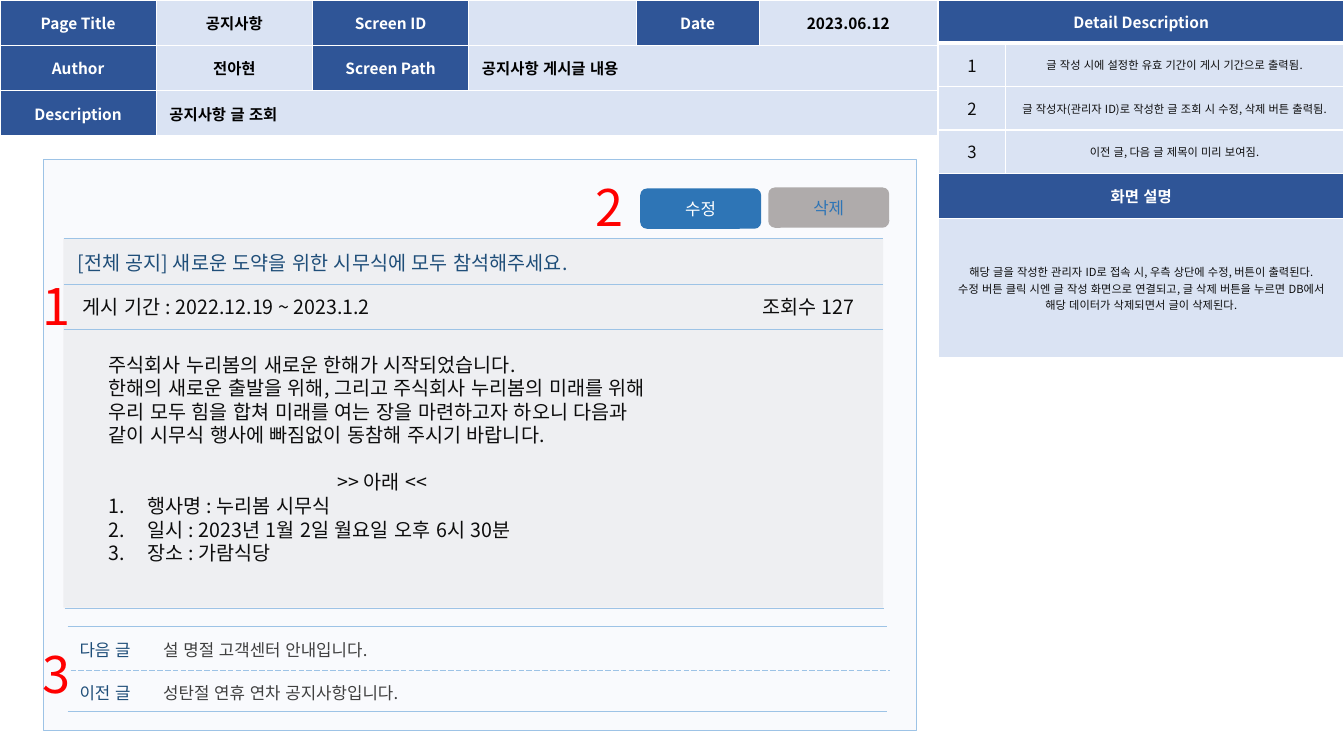
"""Build the screen-specification slide for the notice detail page."""
from lxml.etree import SubElement
from pptx import Presentation
from pptx.dml.color import RGBColor
from pptx.enum.dml import MSO_LINE
from pptx.enum.lang import MSO_LANGUAGE_ID
from pptx.enum.shapes import MSO_CONNECTOR, MSO_SHAPE
from pptx.enum.text import MSO_ANCHOR, PP_ALIGN
from pptx.oxml.ns import qn
from pptx.util import Inches, Pt

FONT = "Noto Sans CJK KR"
COLORS = {
    "navy": "2F5597", "pale": "DAE3F3", "white": "FFFFFF", "black": "000000",
    "ink": "0D0D0D", "gray": "404040", "title": "1F4E79", "rule": "9DC3E6",
    "page": "F9FAFD", "panel": "767171", "edit": "2E75B6", "delete": "AFABAB",
    "red": "FF0000",
}
HEADER_COLS = [1.55, 1.55, 1.55, 1.66, 1.22, 1.77]
HEADER = [
    ["Page Title", "공지사항", "Screen ID", "", "Date", "2023.06.12"],
    ["Author", "전아현", "Screen Path", "공지사항 게시글 내용"],
    ["Description", "공지사항 글 조회"],
]
DETAIL_COLS = [0.66, 3.36]
DETAIL_ROWS = [0.43, 0.43, 0.43, 0.43, 0.45, 1.38]
DETAIL = [
    ["Detail Description"],
    ["1", "글 작성 시에 설정한 유효 기간이 게시 기간으로 출력됨."],
    ["2", "글 작성자(관리자 ID)로 작성한 글 조회 시 수정, 삭제 버튼 출력됨."],
    ["3", "이전 글, 다음 글 제목이 미리 보여짐."],
    ["화면 설명"],
    ["해당 글을 작성한 관리자 ID로 접속 시, 우측 상단에 수정, 버튼이 출력된다.\n"
     "수정 버튼 클릭 시엔 글 작성 화면으로 연결되고, 글 삭제 버튼을 누르면 DB에서 "
     "해당 데이터가 삭제되면서 글이 삭제된다."],
]
NOTICE = [
    "주식회사 누리봄의 새로운 한해가 시작되었습니다.",
    "한해의 새로운 출발을 위해, 그리고 주식회사 누리봄의 미래를 위해 우리 모두 힘을 합쳐 "
    "미래를 여는 장을 마련하고자 하오니 다음과 같이 시무식 행사에 빠짐없이 동참해 주시기 바랍니다.",
]
NOTICE_HEADING = ">> 아래 <<"
NOTICE_ITEMS = ["행사명 : 누리봄 시무식", "일시 : 2023년 1월 2일 월요일 오후 6시 30분",
                "장소 : 가람식당"]
LABELS = [
    ("[전체 공지] 새로운 도약을 위한 시무식에 모두 참석해주세요.", 0.67, 2.44, 5.69, "title"),
    ("게시 기간 : 2022.12.19 ~ 2023.1.2", 0.72, 2.88, 5.69, "ink"),
    ("조회수 127", 7.46, 2.88, 1.52, "ink"),
]
RULES = [(0.63, 2.36), (0.63, 2.82), (0.63, 3.27), (0.64, 6.04), (0.67, 6.21), (0.67, 7.06)]
BUTTONS = [("수정", 6.35, 1.87, "edit", "white"), ("삭제", 7.62, 1.86, "delete", "edit")]
NEIGHBORS = [("다음 글", "설 명절 고객센터 안내입니다.", 6.3),
             ("이전 글", "성탄절 연휴 연차 공지사항입니다.", 6.72)]
MARKERS = [("1", 0.32, 2.68), ("2", 5.81, 1.7), ("3", 0.32, 6.33)]


def rgb(name):
    return RGBColor.from_string(COLORS[name])


def style_run(r, size, color, bold=False):
    r.font.size, r.font.bold, r.font.name = Pt(size), bold, FONT
    r.font.language_id = MSO_LANGUAGE_ID.KOREAN
    r.font.color.rgb = rgb(color)
    SubElement(r.font._element, qn("a:ea"), typeface=FONT)


def style_text(tf, size, color, bold=False, align=PP_ALIGN.LEFT):
    for p in tf.paragraphs:
        p.alignment = align
        for r in p.runs:
            style_run(r, size, color, bold)


def style_cell(cell, text, size, color, bold, align, fill, bottom=1):
    cell.text_frame.text = text
    cell.vertical_anchor = MSO_ANCHOR.MIDDLE
    cell.margin_left = cell.margin_right = Inches(0.13)
    cell.margin_top = cell.margin_bottom = Inches(0.05)
    style_text(cell.text_frame, size, color, bold, align)
    if not text:
        cell.text_frame.paragraphs[0]._p.get_or_add_endParaRPr().set("sz", str(size * 100))
    border_cell(cell, bottom)
    cell.fill.solid()
    cell.fill.fore_color.rgb = rgb(fill)


def border_cell(cell, bottom=1):
    tc_pr = cell._tc.get_or_add_tcPr()
    for side, width in (("lnL", 1), ("lnR", 1), ("lnT", 1), ("lnB", bottom)):
        ln = SubElement(tc_pr, qn(f"a:{side}"), w=str(Pt(width)))
        SubElement(SubElement(ln, qn("a:solidFill")), qn("a:srgbClr"), val=COLORS["white"])


def add_grid(sl, left, cols, heights, rows, cell_style):
    table = sl.shapes.add_table(len(rows), len(cols), Inches(left), 0,
                                Inches(sum(cols)), Inches(sum(heights))).table
    table.first_row = table.horz_banding = False
    for col, width in zip(table.columns, cols):
        col.width = Inches(width)
    for row, height in zip(table.rows, heights):
        row.height = Inches(height)
    for i, texts in enumerate(rows):
        last = len(texts) - 1
        spans = len(texts) < len(cols)
        if spans:
            table.cell(i, last).merge(table.cell(i, len(cols) - 1))
            for j in range(last + 1, len(cols)):
                border_cell(table.cell(i, j))
        for j, text in enumerate(texts):
            style_cell(table.cell(i, j), text, *cell_style(i, j, spans and j == last))


def header_style(i, j, wide):
    align = PP_ALIGN.LEFT if wide else PP_ALIGN.CENTER
    return (11, "black", True, align, "pale") if j % 2 else (11, "white", True, align, "navy")


def detail_style(i, j, wide):
    if i in (0, 4):
        return 11, "white", True, PP_ALIGN.CENTER, "navy", 1 if i else 3
    return 8 if j or wide else 12, "ink", False, PP_ALIGN.CENTER, "pale"


def add_box(sl, kind, left, top, width, height, fill, line=None):
    sp = sl.shapes.add_shape(kind, Inches(left), Inches(top), Inches(width), Inches(height))
    sp.shadow.inherit = False
    sp.fill.solid()
    sp.fill.fore_color.rgb = rgb(fill)
    if line:
        sp.line.color.rgb, sp.line.width = rgb(line), Pt(0.5)
    else:
        sp.line.fill.background()
    return sp


def add_rule(sl, left, top):
    line = sl.shapes.add_connector(MSO_CONNECTOR.STRAIGHT, Inches(left), Inches(top),
                                   Inches(left + 8.13), Inches(top))
    line.line.color.rgb, line.line.width = rgb("rule"), Pt(0.5)
    SubElement(line._element.spPr, qn("a:effectLst"))
    return line


def add_text(sl, text, left, top, width, height, size, color):
    tf = sl.shapes.add_textbox(Inches(left), Inches(top), Inches(width), Inches(height)).text_frame
    tf.word_wrap = True
    tf.text = text
    style_text(tf, size, color)
    return tf


def add_notice(sl):
    text = "\n".join(NOTICE + [NOTICE_HEADING] + NOTICE_ITEMS)
    paras = add_text(sl, text, 0.98, 3.45, 5.62, 2.22, 14, "ink").paragraphs
    heading = paras[len(NOTICE)]
    heading.alignment = PP_ALIGN.CENTER
    heading.space_before = Pt(16.8)
    for p in paras[len(NOTICE) + 1:]:
        p_pr = p._p.get_or_add_pPr()
        p_pr.set("marL", str(Inches(0.38)))
        p_pr.set("indent", str(-Inches(0.38)))
        SubElement(p_pr, qn("a:buFont"), typeface="+mj-lt")
        SubElement(p_pr, qn("a:buAutoNum"), type="arabicPeriod")


def add_neighbor(sl, label, title, top):
    p = add_text(sl, label + "\t", 0.69, top, 5.69, 0.3, 12, "title").paragraphs[0]
    tabs = SubElement(p._p.get_or_add_pPr(), qn("a:tabLst"))
    SubElement(tabs, qn("a:tab"), pos=str(Inches(0.83)), algn="l")
    r = p.add_run()
    r.text = title
    style_run(r, 12, "gray")


def main():
    prs = Presentation()
    prs.slide_width, prs.slide_height = Inches(13.33), Inches(7.5)
    sl = prs.slides.add_slide(prs.slide_layouts[6])
    add_grid(sl, 0, HEADER_COLS, [0.45] * 3, HEADER, header_style)
    add_grid(sl, 9.31, DETAIL_COLS, DETAIL_ROWS, DETAIL, detail_style)
    add_box(sl, MSO_SHAPE.RECTANGLE, 0.43, 1.58, 8.66, 5.67, "page", "rule")
    panel = add_box(sl, MSO_SHAPE.RECTANGLE, 0.63, 2.37, 8.13, 3.66, "panel")
    SubElement(panel._element.spPr.find(".//" + qn("a:srgbClr")), qn("a:alpha"), val="8000")
    for left, top in RULES:
        add_rule(sl, left, top)
    add_rule(sl, 0.7, 6.65).line.dash_style = MSO_LINE.LONG_DASH
    for text, left, top, width, color in LABELS:
        add_text(sl, text, left, top, width, 0.34, 14, color)
    add_notice(sl)
    for text, left, top, fill, color in BUTTONS:
        tf = add_box(sl, MSO_SHAPE.ROUNDED_RECTANGLE, left, top, 1.2, 0.4, fill).text_frame
        tf.text, tf.vertical_anchor = text, MSO_ANCHOR.MIDDLE
        style_text(tf, 12, color, align=PP_ALIGN.CENTER)
    for label, title, top in NEIGHBORS:
        add_neighbor(sl, label, title, top)
    for text, left, top in MARKERS:
        add_text(sl, text, left, top, 0.64, 0.71, 36, "red")
    prs.save("out.pptx")


if __name__ == "__main__":
    main()
